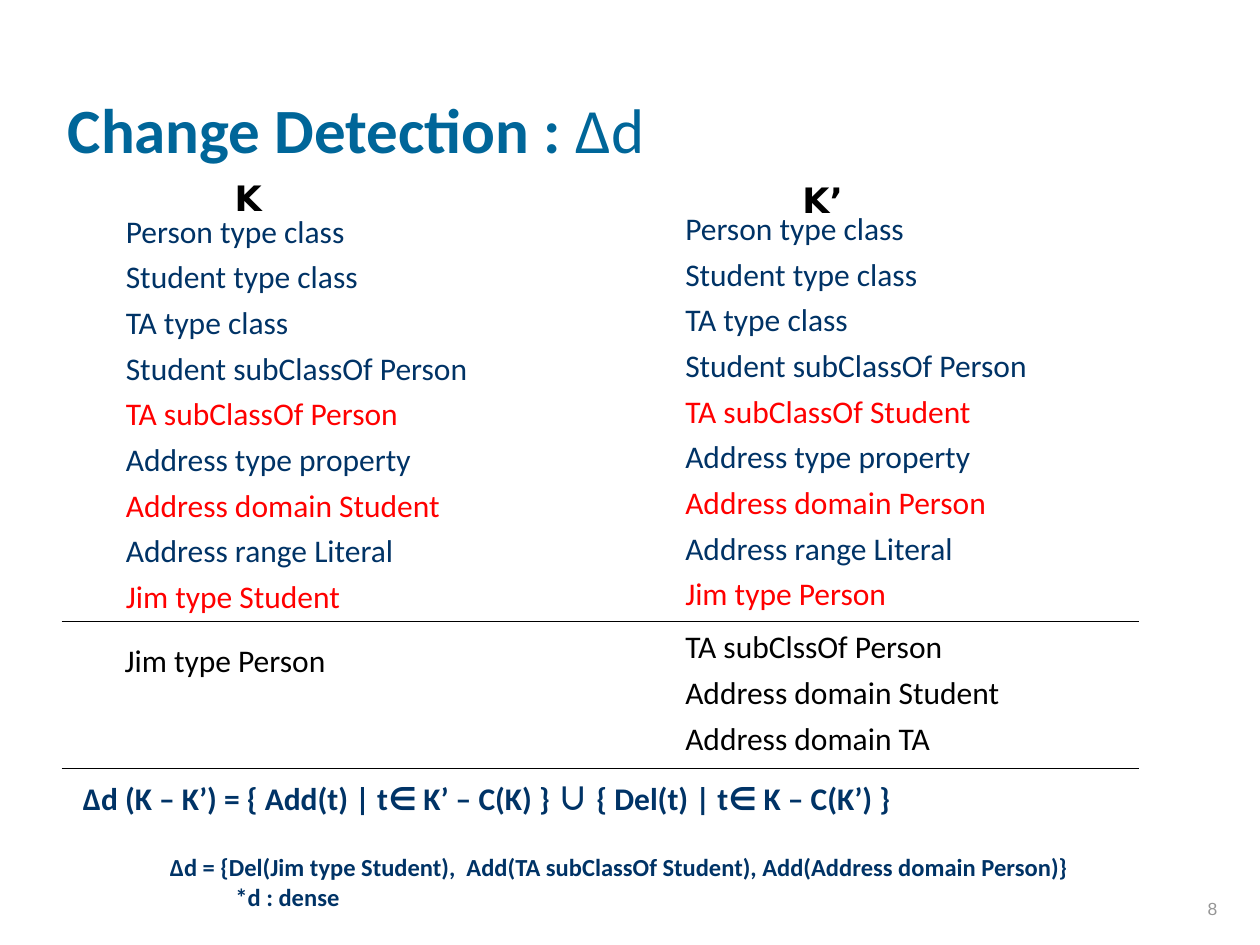
from lxml import etree
from pptx import Presentation, util as u
from pptx.dml.color import RGBColor
from pptx.enum import shapes, text
from pptx.oxml.ns import qn

TEAL = RGBColor(0x00, 0x66, 0x99)
NAVY = RGBColor(0x00, 0x33, 0x66)
RED = RGBColor(0xFF, 0x00, 0x00)
BLACK = RGBColor(0x00, 0x00, 0x00)
GRAY = RGBColor(0x96, 0x96, 0x96)

presentation = Presentation()
presentation.slide_width = u.Inches(10)
presentation.slide_height = u.Inches(7.5)
slide = presentation.slides.add_slide(presentation.slide_layouts[6])

# Grid of 100 columns by 75 rows
COLUMN = presentation.slide_width / 100
ROW = presentation.slide_height / 75


def add_box(left, top, width, height, anchor=text.MSO_ANCHOR.TOP, wrap=True):
    shape = slide.shapes.add_textbox(round(left * COLUMN), round(top * ROW),
                                     round(width * COLUMN), round(height * ROW))
    shape.text_frame.word_wrap = wrap
    shape.text_frame.vertical_anchor = anchor
    return shape.text_frame


def add_line(frame, runs, size, color, font="Calibri", bold=False, before=0):
    """Fill the empty first paragraph, or append another one."""
    paragraph = frame.paragraphs[0]
    if paragraph.runs:
        paragraph = frame.add_paragraph()
        paragraph.space_before = u.Pt(before)
    for words in runs:
        paragraph.add_run().text = words
    paragraph.font.size = u.Pt(size)
    paragraph.font.name = font
    paragraph.font.bold = bold
    paragraph.font.color.rgb = color
    return paragraph


# Title
title = add_line(add_box(4.4, 1.2, 85, 12.5, text.MSO_ANCHOR.BOTTOM),
                 ["Change Detection : ", "Δd"], 36, TEAL, bold=True)
title.runs[1].font.bold = False

# Column headings
for left, top, heading in [(16.5, 13, "K"), (62.1, 13.1, "K’")]:
    frame = add_box(left, top, 6.4, 5.4, text.MSO_ANCHOR.MIDDLE, wrap=False)
    add_line(frame, [heading], 20, BLACK, "DejaVu Sans", True).alignment = text.PP_ALIGN.CENTER

# Triples of both versions; the changed ones are red
shared = ["Person type class", "Student type class", "TA type class",
          "Student subClassOf Person"]
old = ["TA subClassOf Person", "Address domain Student", "Jim type Student"]
new = ["TA subClassOf Student", "Address domain Person", "Jim type Person"]
for left, top, changed in [(9, 16.3, old), (53.4, 16.1, new)]:
    frame = add_box(left, top, 35.9, 32)
    triples = shared + [changed[0], "Address type property", changed[1],
                        "Address range Literal", changed[2]]
    for triple in triples:
        add_line(frame, [triple], 18, RED if triple in changed else NAVY, before=4.5)

# Inferred triples
inferred = [
    (8.9, 50.4, ["Jim type Person"]),
    (53.4, 49.3, ["TA subClssOf Person", "Address domain Student", "Address domain TA"]),
]
for left, top, triples in inferred:
    frame = add_box(left, top, 35.9, 5.5)
    for triple in triples:
        add_line(frame, [triple], 18, BLACK, before=4.5)

# Rules around the inferred triples
for row in (49.3, 61):
    rule = slide.shapes.add_connector(shapes.MSO_CONNECTOR.STRAIGHT,
                                      round(4.9 * COLUMN), round(row * ROW),
                                      round(90.4 * COLUMN), round(row * ROW))
    rule.line.color.rgb = BLACK
    rule.line.width = u.Pt(0.75)
    etree.SubElement(rule._element.spPr, qn("a:effectLst"))

# Definition of the delta
formula = add_line(add_box(5.6, 61.9, 88.6, 5.1),
                   ["Δd (K – K’) = { Add(t) | t∈ K’ – C(K) } ", "∪ ",
                    "{ Del(t) | t∈ K – C(K’) }"], 18, NAVY, bold=True)
formula.line_spacing = 0.8
formula.runs[1].font.name = "Noto Sans CJK KR"

# Resulting delta and its footnote
frame = add_box(12.5, 67.6, 87, 7)
result = add_line(frame, ["Δd = {Del(Jim type Student),  Add(TA subClassOf Student), "
                          "Add(Address domain Person)}"], 14, NAVY, bold=True)
result.line_spacing = 0.8
footnote = add_line(frame, ["*d : dense"], 14, NAVY, bold=True, before=3.5)
footnote.line_spacing = 0.8
footnote._p.get_or_add_pPr().set("marL", str(round(5.2 * COLUMN)))

# Slide number
number = add_line(add_box(76.8, 68.4, 20.8, 5, text.MSO_ANCHOR.BOTTOM), ["8"], 10, GRAY, "Arial")
number.alignment = text.PP_ALIGN.RIGHT

presentation.save("out.pptx")
